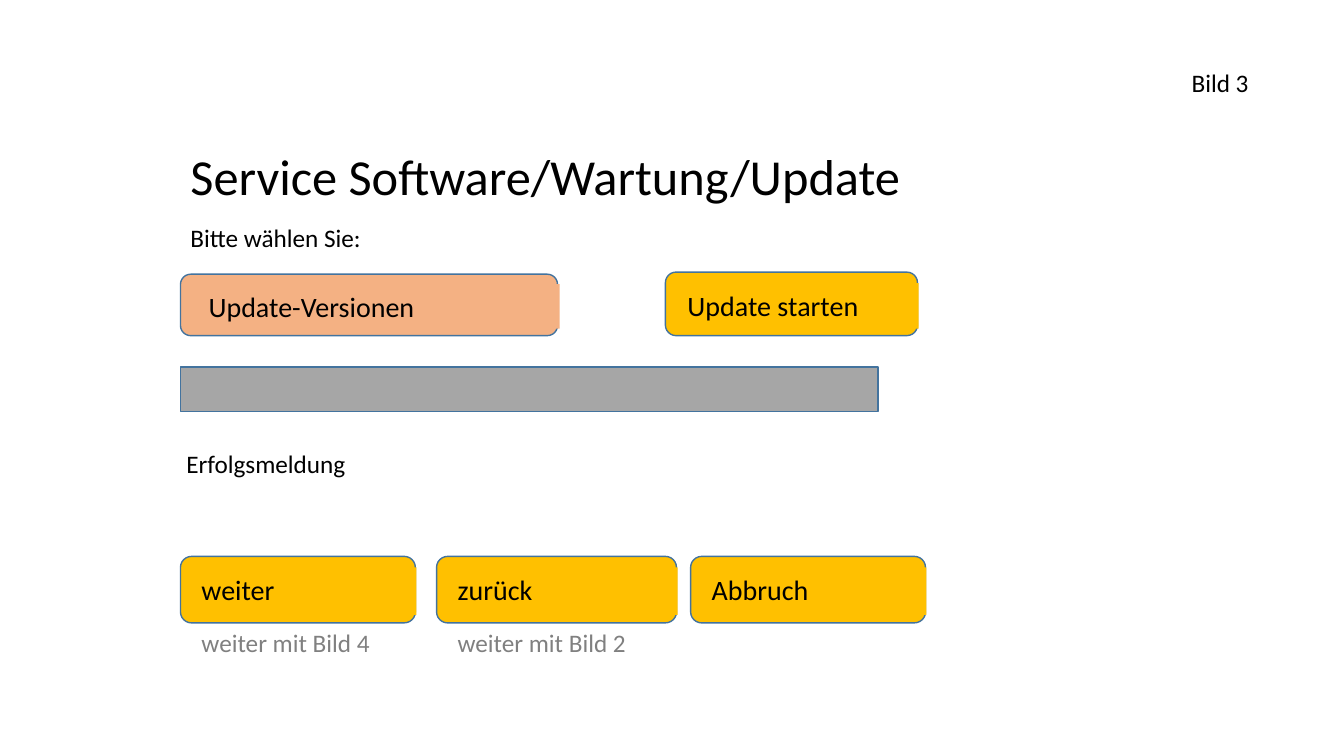
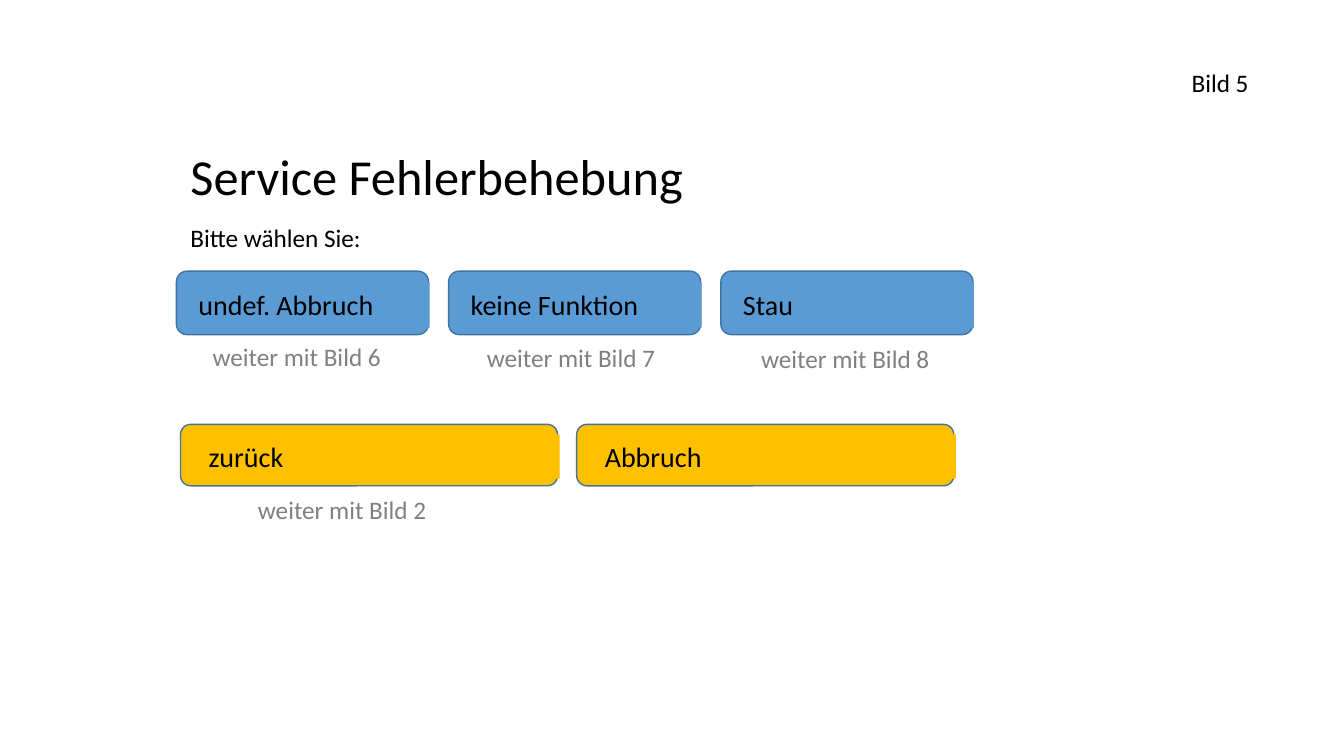
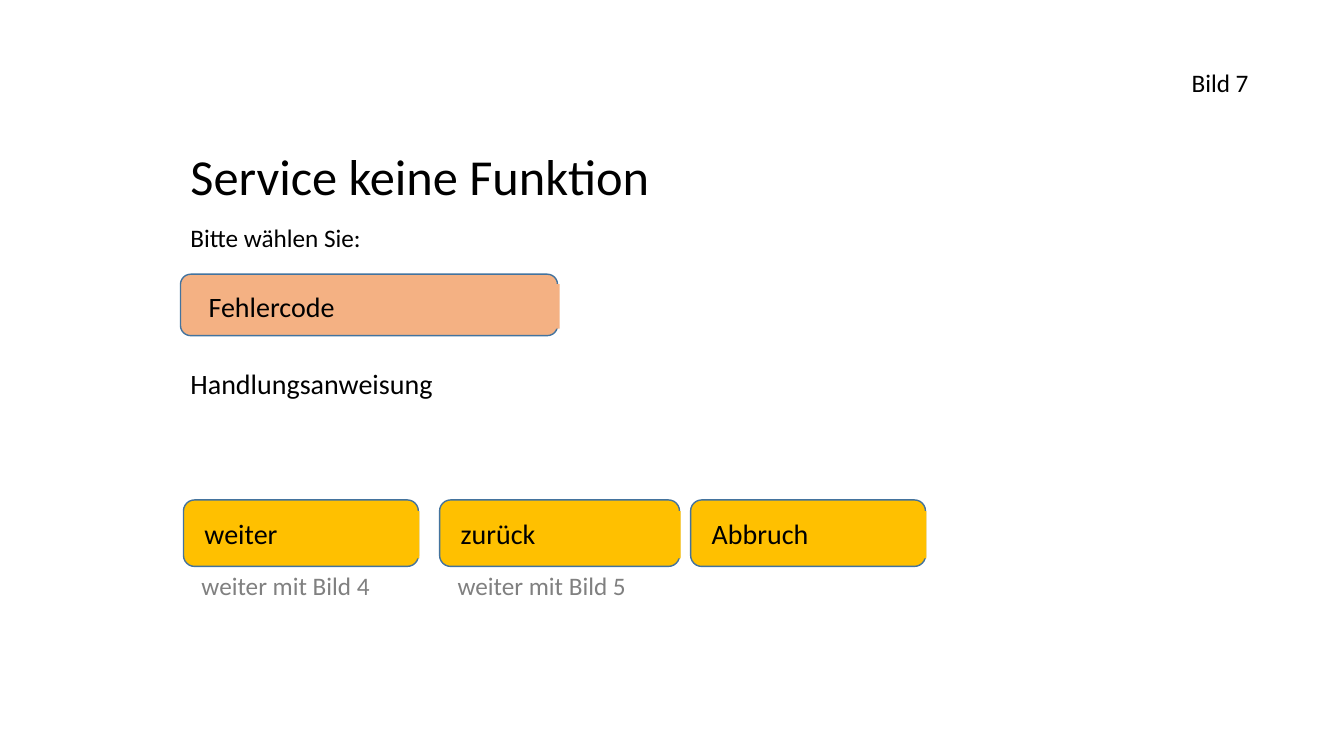
from dataclasses import dataclass

from pptx import Presentation
from pptx import util as u
from pptx.dml.color import RGBColor
from pptx.enum import shapes, text
from pptx.shapes.autoshape import Shape
from pptx.slide import Slide
from pptx.text.text import TextFrame

PX = 9144
FONT = "Calibri"
BLACK, GREY, BAR = "000000", "808080", "A6A6A6"
OUTLINE, YELLOW, ORANGE, BLUE = "43739E", "FFC000", "F4B183", "5B9BD5"
LINE_HEIGHTS = {36: 71, 20: 44, 18: 40}
NOTE_WIDTH = 189


@dataclass(frozen=True)
class ButtonSize:
    width: int
    height: int
    inset_x: int
    inset_y: int
    label_width: int
    label_height: int


WIDE = ButtonSize(374, 61, 18, 10, 358, 44)
MEDIUM = ButtonSize(250, 63, 12, 11, 239, 45)
SMALL = ButtonSize(233, 66, 11, 11, 223, 47)
SMALL_PLUS = ButtonSize(238, 66, 11, 11, 228, 47)


@dataclass(frozen=True)
class Button:
    label: str
    left: int
    top: int
    size: ButtonSize
    fill: str = YELLOW


@dataclass(frozen=True)
class Label:
    wording: str
    left: int
    top: int
    width: int
    size: int = 18
    color: str = BLACK
    wrap: bool = False


@dataclass(frozen=True)
class Screen:
    number: int
    title: str
    title_width: int
    buttons: list[Button]
    labels: list[Label]


def px(length: int) -> u.Emu:
    return u.Emu(length * PX)


def rgb(color: str) -> RGBColor:
    return RGBColor.from_string(color)


def write(frame: TextFrame, wording: str, size: int, color: str, wrap: bool) -> None:
    frame.word_wrap = wrap
    frame.auto_size = text.MSO_AUTO_SIZE.SHAPE_TO_FIT_TEXT
    frame.vertical_anchor = text.MSO_ANCHOR.TOP
    para = frame.paragraphs[0]
    para.text = wording
    para.alignment = text.PP_ALIGN.LEFT
    para.font.name = FONT
    para.font.size = u.Pt(size)
    para.font.color.rgb = rgb(color)


def paint(shape: Shape, fill: str, outlined: bool) -> None:
    shape.shadow.inherit = False
    shape.fill.solid()
    shape.fill.fore_color.rgb = rgb(fill)
    if outlined:
        shape.line.color.rgb = rgb(OUTLINE)
        shape.line.width = u.Pt(1)
    else:
        shape.line.fill.background()


def draw_label(page: Slide, label: Label) -> None:
    box = page.shapes.add_textbox(
        px(label.left), px(label.top), px(label.width), px(LINE_HEIGHTS[label.size])
    )
    write(box.text_frame, label.wording, label.size, label.color, label.wrap)


def draw_button(page: Slide, button: Button) -> None:
    size = button.size
    group = page.shapes.add_group_shape()
    frame = group.shapes.add_shape(
        shapes.MSO_SHAPE.ROUNDED_RECTANGLE,
        px(button.left), px(button.top), px(size.width), px(size.height),
    )
    paint(frame, button.fill, True)
    face = group.shapes.add_shape(
        shapes.MSO_SHAPE.RECTANGLE,
        px(button.left + size.inset_x), px(button.top + size.inset_y),
        px(size.label_width), px(size.label_height),
    )
    paint(face, button.fill, False)
    write(face.text_frame, button.label, 20, BLACK, True)


def draw_progress_bar(page: Slide) -> None:
    bar = page.shapes.add_shape(
        shapes.MSO_SHAPE.RECTANGLE, px(179), px(364), px(692), px(44)
    )
    paint(bar, BAR, True)


def note(target: int, left: int, top: int) -> Label:
    return Label(f"weiter mit Bild {target}", left, top, NOTE_WIDTH, color=GREY)


def navigation(left: int, top: int) -> list[Button]:
    return [
        Button("weiter", left, top, SMALL),
        Button("zurück", left + 254, top, SMALL_PLUS),
        Button("Abbruch", 685, top, SMALL),
    ]


def navigation_notes(targets: tuple[int, int], top: int) -> list[Label]:
    return [note(target, 190 + 254 * i, top) for i, target in enumerate(targets)]


def draw_screen(page: Slide, screen: Screen) -> None:
    header = [
        Label(f"Bild {screen.number}", 1172, 62, 77),
        Label(screen.title, 179, 139, screen.title_width, 36),
        Label("Bitte wählen Sie:", 179, 216, 285, wrap=True),
    ]
    for button in screen.buttons:
        draw_button(page, button)
    for label in header + screen.labels:
        draw_label(page, label)


def main() -> None:
    faults = ["undef. Abbruch", "keine Funktion", "Stau"]
    update = Screen(
        3, "Service Software/Wartung/Update", 732,
        [
            Button("Update-Versionen", 179, 272, WIDE, ORANGE),
            Button("Update starten", 660, 270, MEDIUM),
            *navigation(179, 552),
        ],
        [Label("Erfolgsmeldung", 175, 440, 180), *navigation_notes((4, 2), 617)],
    )
    troubleshooting = Screen(
        5, "Service Fehlerbehebung", 513,
        [
            *(Button(fault, 175 + 270 * i, 269, MEDIUM, BLUE) for i, fault in enumerate(faults)),
            Button("zurück", 179, 421, WIDE),
            Button("Abbruch", 572, 421, WIDE),
        ],
        [
            *(note(6 + i, 201 + 272 * i, 334 + i) for i in range(len(faults))),
            note(2, 246, 485),
        ],
    )
    no_function = Screen(
        7, "Service keine Funktion", 480,
        [Button("Fehlercode", 179, 272, WIDE, ORANGE), *navigation(182, 496)],
        [Label("Handlungsanweisung", 179, 359, 263, 20), *navigation_notes((4, 5), 561)],
    )

    deck = Presentation()
    deck.slide_width, deck.slide_height = px(1333), px(750)
    blank = deck.slide_layouts[6]
    for screen in (update, troubleshooting, no_function):
        page = deck.slides.add_slide(blank)
        draw_screen(page, screen)
        if screen is update:
            draw_progress_bar(page)
    deck.save("out.pptx")


if __name__ == "__main__":
    main()
